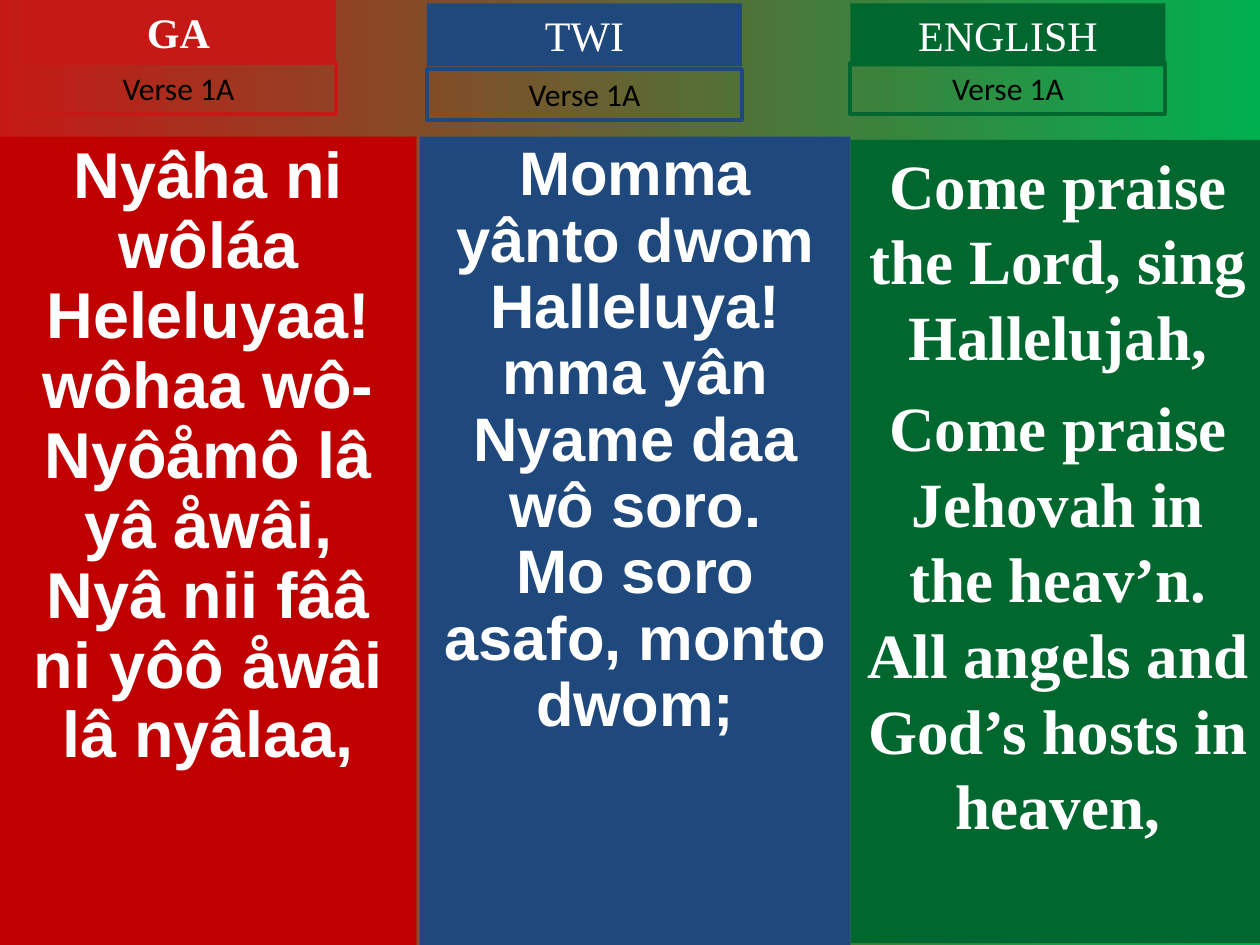
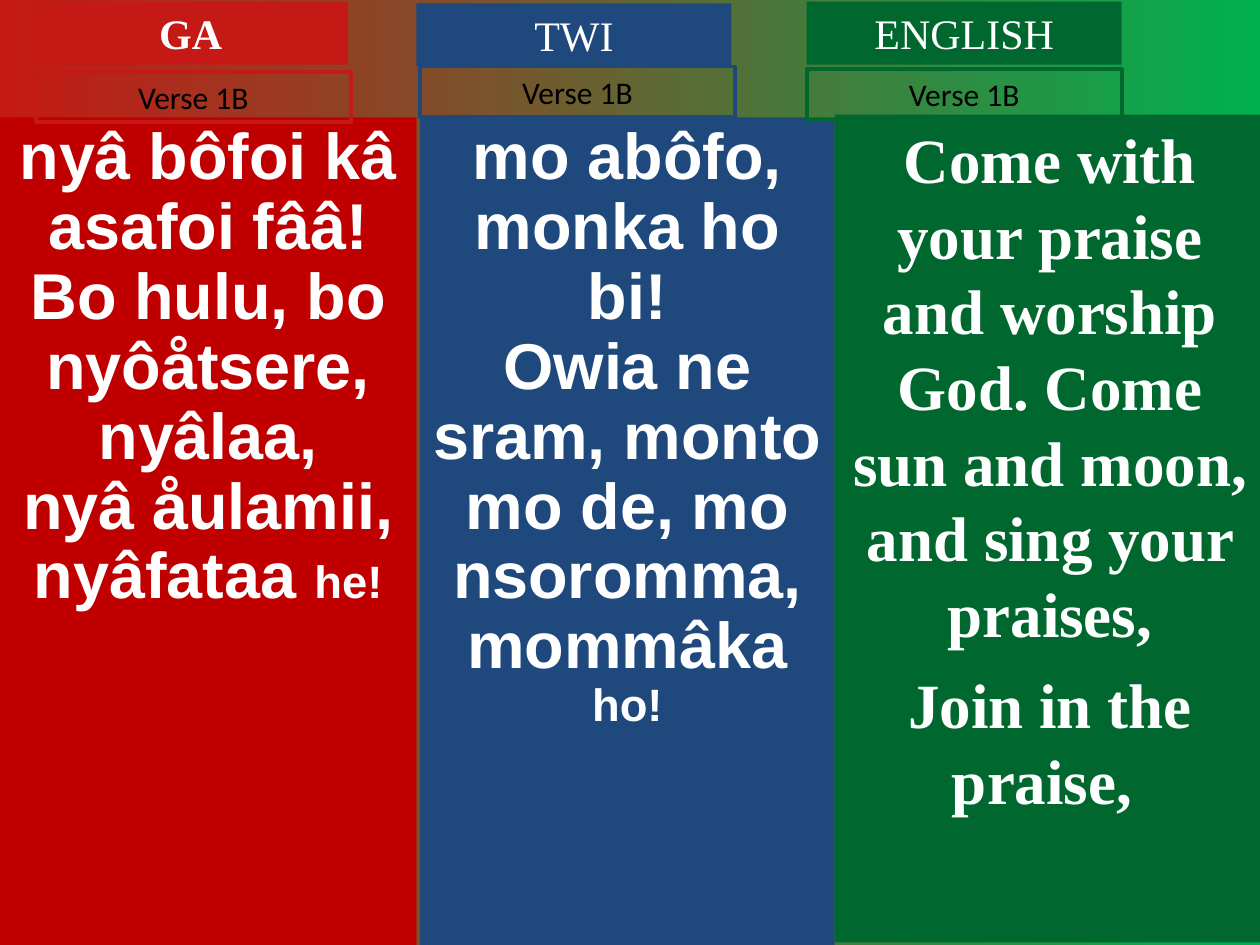
"""Build two hymn slides that set one verse side by side in Ga, Twi and English."""
import pptx
import pptx.dml.color
import pptx.enum.text
import pptx.util
from lxml import etree

Pt = pptx.util.Pt
RGB = pptx.dml.color.RGBColor.from_string


class Theme:
    red, deep_red, blue, green, bright_green = "C51915", "C00000", "1F497D", "00682F", "00B050"
    white, black = "FFFFFF", "000000"
    heading_font, lyric_font, label_font = "Times New Roman", "Arial", "Calibri"
    heading_size, label_size, english_size, ending_size = 24, 18, 36, 25.9
    label_line = 2.25


def place(box, frame, fill=None):
    """Position a box, fill it and prepare its text frame."""
    box.left, box.top, box.width, box.height = [Pt(length) for length in frame]
    if fill:
        box.fill.solid()
        box.fill.fore_color.rgb = RGB(fill)
    box.text_frame.word_wrap = True
    box.text_frame.auto_size = pptx.enum.text.MSO_AUTO_SIZE.NONE
    box.text_frame.vertical_anchor = pptx.enum.text.MSO_ANCHOR.TOP


def write(box, lines, font, size, color, bold, spacing=1.0, gap=0):
    """Write centred paragraphs; a line given as a pair ends in smaller type."""
    for index, line in enumerate(lines):
        para = box.text_frame.paragraphs[0] if index == 0 else box.text_frame.add_paragraph()
        properties = para._p.get_or_add_pPr()
        properties.set("marL", "0")
        properties.set("indent", "0")
        etree.SubElement(properties, pptx.oxml.ns.qn("a:buNone"))
        para.alignment = pptx.enum.text.PP_ALIGN.CENTER
        para.line_spacing = spacing
        para.space_before = Pt(gap if index else 0)
        para.font.name, para.font.size, para.font.bold = font, Pt(size), bold
        para.font.color.rgb = RGB(color)
        text, ending = line if isinstance(line, tuple) else (line, "")
        para.add_run().text = text
        if ending:
            span = para.add_run()
            span.text = ending
            span.font.size = Pt(Theme.ending_size)


languages = [
    ("GA", Theme.red, Theme.deep_red, True),
    ("TWI", Theme.blue, Theme.blue, False),
    ("ENGLISH", Theme.green, Theme.green, False),
]

verses = [
    {
        "label": "Verse 1A",
        "headings": [(12, 0), (244, 2), (486, 2)],
        "labels": [(12, 36), (244, 39.5), (486, 36)],
        "columns": [(0, 78, 238, 462), (240, 78, 246, 462), (486, 80, 237, 459)],
        "sizes": [37, 35.1, Theme.english_size],
        "lyrics": [
            ["Nyâha ni wôláa Heleluyaa!", "wôhaa wô-Nyôåmô lâ yâ åwâi,",
             "Nyâ nii fââ ni yôô åwâi lâ nyâlaa,"],
            ["Momma yânto dwom Halleluya!", "mma yân Nyame daa wô soro.",
             "Mo soro asafo, monto dwom;"],
            ["Come praise the Lord, sing Hallelujah,",
             "Come praise Jehovah in the heav’n. All angels and God’s hosts in heaven,"],
        ],
    },
    {
        "label": "Verse 1B",
        "headings": [(19, 1), (238, 2), (461, 1)],
        "labels": [(20.5, 41), (240, 38), (461, 39.5)],
        "columns": [(0, 67, 238, 473), (240, 67, 237, 473), (477, 65.5, 246, 473)],
        "sizes": [37, 37, Theme.english_size],
        "lyrics": [
            ["nyâ bôfoi kâ asafoi fââ!", "Bo hulu, bo nyôåtsere, nyâlaa,",
             ("nyâ åulamii, nyâfataa ", "he!")],
            ["mo abôfo, monka ho bi!",
             ("Owia ne sram, monto mo de, mo nsoromma, mommâka ", "ho!")],
            ["Come with your praise and worship God. Come sun and moon, and sing your praises,",
             "Join in the praise, "],
        ],
    },
]

deck = pptx.Presentation()
deck.slide_width, deck.slide_height = Pt(720), Pt(540)
backdrop = deck.slide_master.background.fill
backdrop.gradient()
backdrop.gradient_angle = 0
for stop, position, color in zip(backdrop.gradient_stops, (0, 1), (Theme.red, Theme.bright_green)):
    stop.position = position
    stop.color.rgb = RGB(color)

for verse in verses:
    page = deck.slides.add_slide(deck.slide_layouts.get_by_name("Two Content"))
    for holder in list(page.placeholders):
        if holder.placeholder_format.idx not in (1, 2):
            holder._element.getparent().remove(holder._element)

    for index, (name, accent, column_fill, bold) in enumerate(languages):
        in_english = name == "ENGLISH"
        column = page.shapes.add_textbox(0, 0, 0, 0) if in_english else page.placeholders[index + 1]
        place(column, verse["columns"][index], column_fill)
        write(column, verse["lyrics"][index],
              Theme.heading_font if in_english else Theme.lyric_font, verse["sizes"][index],
              Theme.white, True, 1.0 if in_english else 0.9, 9 if in_english else 0)

        heading = page.shapes.add_textbox(0, 0, 0, 0)
        place(heading, (*verse["headings"][index], 180, 36), accent)
        write(heading, [name], Theme.heading_font, Theme.heading_size, Theme.white, bold)

        label = page.shapes.add_textbox(0, 0, 0, 0)
        place(label, (*verse["labels"][index], 180, 29))
        label.line.color.rgb = RGB(accent)
        label.line.width = Pt(Theme.label_line)
        write(label, [verse["label"]], Theme.label_font, Theme.label_size, Theme.black, False)

deck.save("out.pptx")
